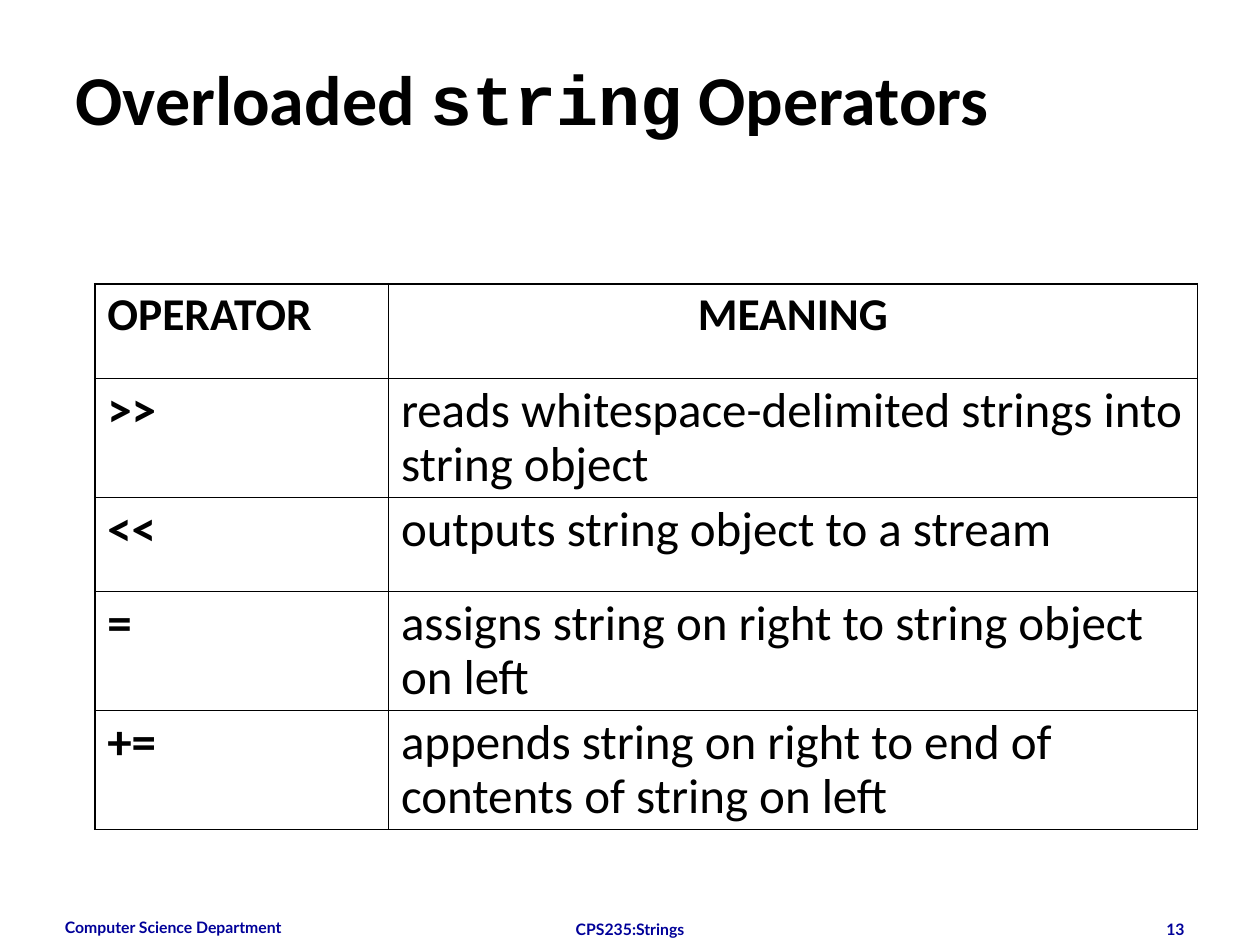
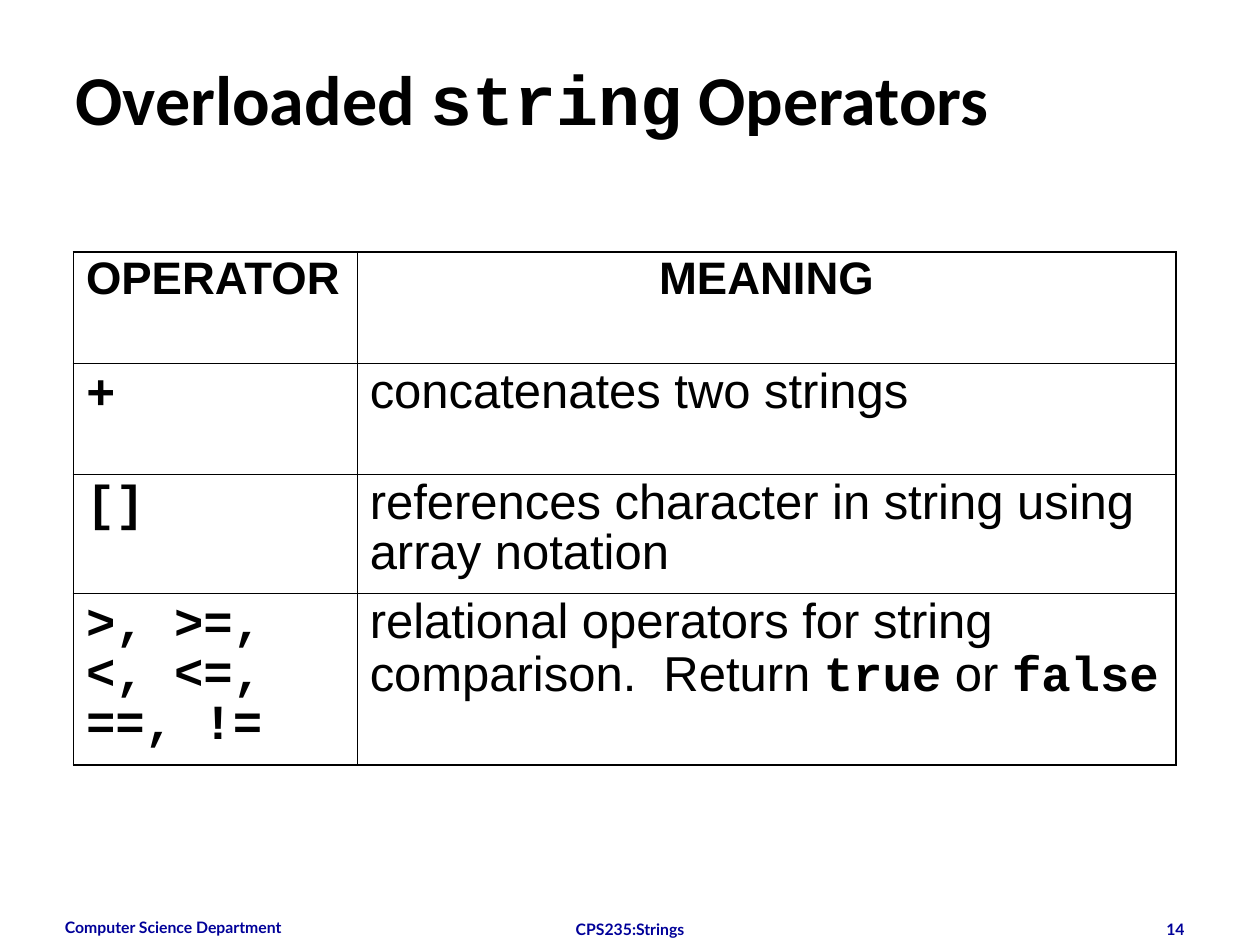
import dataclasses

import lxml.etree
import pptx
import pptx.dml.color
import pptx.enum.text
import pptx.oxml.ns
import pptx.util

Cm = pptx.util.Cm
Pt = pptx.util.Pt
ALIGN = pptx.enum.text.PP_ALIGN
ANCHOR = pptx.enum.text.MSO_ANCHOR


@dataclasses.dataclass(frozen=True)
class Theme:
    ink: str = "000000"
    footer_ink: str = "000099"
    body_font: str = "Calibri"
    plain_font: str = "Arial"
    code_font: str = "Courier New"
    footer_font: str = "Lato"
    title_size: float = 40
    header_size: float = 26
    cell_size: float = 28
    footer_size: float = 9
    outer_line: float = 1.08
    inner_line: float = 0.45
    cell_spacing: float = 0.9


THEME = Theme()
TITLE = ["Overloaded ", ("string", THEME.code_font, True), " Operators"]
HEADER = ("OPERATOR", "MEANING")


# Text: a string, or a list of strings and (text, font, bold) spans
def write_text(frame, text, font=THEME.body_font, size=THEME.cell_size,
               color=THEME.ink, bold=False, align=ALIGN.LEFT, spacing=None):
    frame.word_wrap = True
    para = frame.paragraphs[0]
    para.alignment = align
    para.space_before = Pt(0)
    if spacing:
        para.line_spacing = spacing
    for part in [text] if isinstance(text, str) else text:
        words, face, weight = (part, font, bold) if isinstance(part, str) else part
        span = para.add_run()
        span.text = words
        span.font.name = face
        span.font.size = Pt(size)
        span.font.bold = weight
        span.font.color.rgb = pptx.dml.color.RGBColor.from_string(color)


# Title placeholder
def add_title(page, text):
    title = page.shapes.title
    title.left, title.top, title.width, title.height = Cm(1.27), Cm(0.76), Cm(22.86), Cm(2.41)
    title.text_frame.auto_size = pptx.enum.text.MSO_AUTO_SIZE.NONE
    title.text_frame.vertical_anchor = ANCHOR.MIDDLE
    write_text(title.text_frame, text, size=THEME.title_size, bold=True)


# Footer line: department, course and page number
def add_footers(page, number):
    footers = [
        ("Computer Science Department", 1.06, 18.37, 5.93, 0.68, ALIGN.LEFT),
        ("CPS235:Strings", 8.68, 18.42, 8.04, 0.25, ALIGN.CENTER),
        (str(number), 18.2, 18.42, 5.93, 0.25, ALIGN.RIGHT),
    ]
    for text, left, top, width, height, align in footers:
        box = page.shapes.add_textbox(Cm(left), Cm(top), Cm(width), Cm(height))
        write_text(box.text_frame, text, font=THEME.footer_font, size=THEME.footer_size,
                   color=THEME.footer_ink, bold=True, align=align)


# Cell borders, placed ahead of the fill; widths run left, right, top, bottom
def set_borders(cell, widths):
    qn = pptx.oxml.ns.qn
    properties = cell._tc.get_or_add_tcPr()
    for index, (side, width) in enumerate(zip("LRTB", widths)):
        line = lxml.etree.Element(qn(f"a:ln{side}"), w=str(int(Pt(width))))
        fill = lxml.etree.SubElement(line, qn("a:solidFill"))
        lxml.etree.SubElement(fill, qn("a:srgbClr"), val=THEME.ink)
        properties.insert(index, line)


# Operator table: heavy outer frame, fine inner grid
def add_operator_table(page, rows, left, top, widths, heights, font, operator_font):
    frame = page.shapes.add_table(len(heights), len(widths), Cm(left), Cm(top),
                                  Cm(sum(widths)), Cm(sum(heights)))
    table = frame.table
    table.first_row = table.horz_banding = False
    for column, width in zip(table.columns, widths):
        column.width = Cm(width)
    for row, height in zip(table.rows, heights):
        row.height = Cm(height)

    last_row, last_column = len(heights) - 1, len(widths) - 1
    for r, texts in enumerate([HEADER, *rows]):
        for c, text in enumerate(texts):
            cell = table.cell(r, c)
            cell.fill.background()
            is_header, is_operator = r == 0, c == 0
            write_text(
                cell.text_frame, text,
                font=operator_font if is_operator and not is_header else font,
                size=THEME.header_size if is_header else THEME.cell_size,
                bold=is_header or is_operator,
                align=ALIGN.CENTER if is_header and not is_operator else ALIGN.LEFT,
                spacing=THEME.cell_spacing)
            on_edge = (c == 0, c == last_column, r == 0, r == last_row)
            set_borders(cell, [THEME.outer_line if edge else THEME.inner_line
                               for edge in on_edge])


def add_page(deck, number, **table):
    page = deck.slides.add_slide(deck.slide_layouts[5])
    add_title(page, TITLE)
    add_footers(page, number)
    add_operator_table(page, **table)


def main():
    deck = pptx.Presentation()
    deck.slide_width, deck.slide_height = Cm(25.4), Cm(19.05)

    # Stream, assignment and append operators
    add_page(
        deck, 13,
        rows=[
            (">>", "reads whitespace-delimited strings into string object"),
            ("<<", "outputs string object to a stream"),
            ("=", "assigns string on right to string object on left"),
            ("+=", "appends string on right to end of contents of string on left"),
        ],
        left=1.91, top=5.72, widths=(5.92, 16.31), heights=(1.91, 2.4, 1.89, 2.4, 2.4),
        font=THEME.body_font, operator_font=THEME.body_font)

    # Concatenation, indexing and relational operators
    add_page(
        deck, 14,
        rows=[
            ("+", "concatenates two strings"),
            ("[]", "references character in string using array notation"),
            (">, >=, <, <=, ==, !=",
             ["relational operators for string comparison.  Return ",
              ("true", THEME.code_font, True), " or ",
              ("false", THEME.code_font, True)]),
        ],
        left=1.48, top=5.08, widths=(5.72, 16.51), heights=(2.24, 2.24, 2.4, 3.46),
        font=THEME.plain_font, operator_font=THEME.code_font)

    deck.save("out.pptx")


if __name__ == "__main__":
    main()
